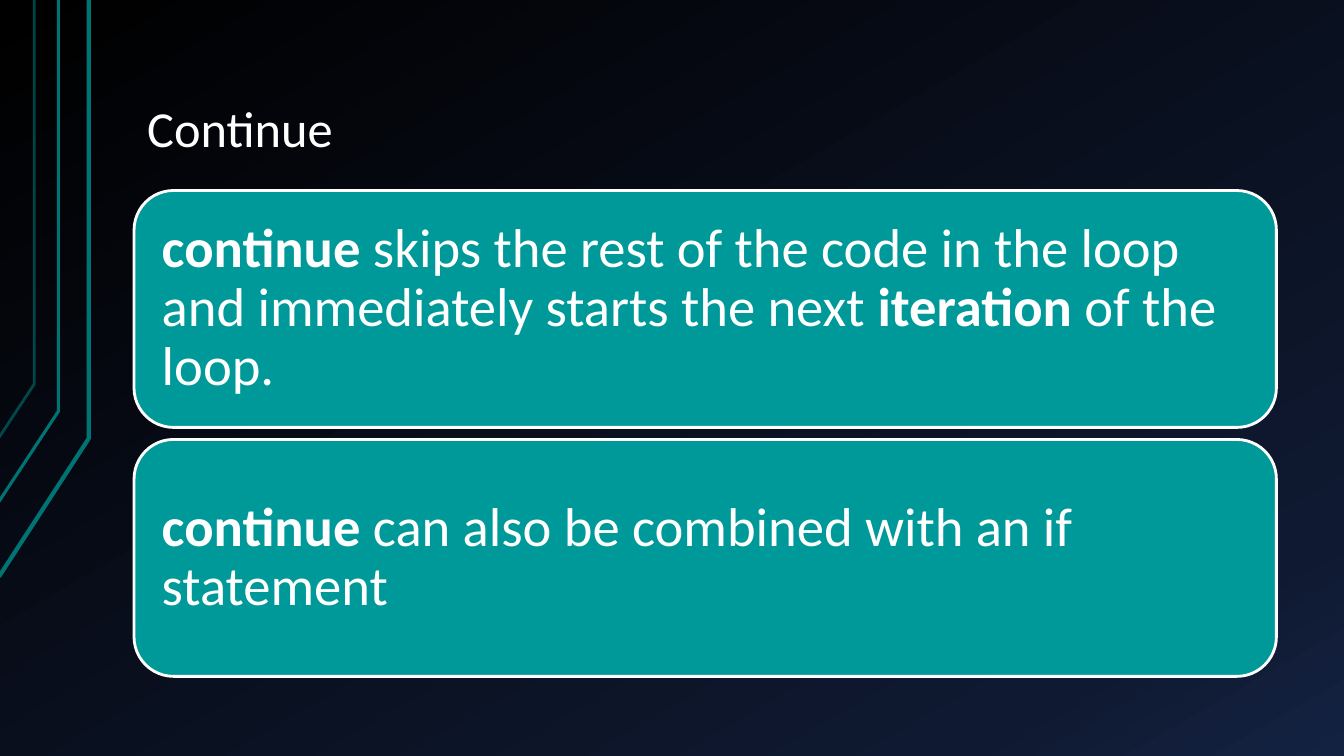
from copy import deepcopy
from dataclasses import dataclass

from pptx import Presentation
from pptx import util as u
from pptx.dml.color import RGBColor
from pptx.enum import shapes, text
from pptx.oxml import ns, xmlchemy
from pptx.slide import Slide
from pptx.text.text import _Paragraph as Paragraph

WHITE = RGBColor(0xFF, 0xFF, 0xFF)
TEAL = RGBColor(0x00, 0x99, 0x99)
DARK_TEAL = RGBColor(0x00, 0x73, 0x73)
BACKGROUND_STOPS = (
    (0, RGBColor(0x00, 0x00, 0x00)),
    (0.85, RGBColor(0x0F, 0x19, 0x31)),
    (1, RGBColor(0x14, 0x22, 0x42)),
)
FONT = "Calibri"
LEFT, WIDTH = 1.33, 11.33
CARD_TOP, CARD_HEIGHT, CARD_PITCH = 1.89, 2.35, 2.47


@dataclass(frozen=True)
class Trace:
    """A line rising from the left edge to a bend, then straight to the top."""
    start: tuple[float, float]
    bend: tuple[float, float]
    weight: float
    opacity: int = 100


@dataclass(frozen=True)
class Phrase:
    words: str
    bold: bool = False


TRACES = (
    Trace((-0.01, 5.72), (0.88, 4.35), 3),
    Trace((-0.02, 4.99), (0.58, 4.08), 2.25),
    Trace((-0.01, 4.34), (0.34, 3.81), 2, opacity=60),
)
CARDS = (
    (
        Phrase("continue", bold=True),
        Phrase(" skips the rest of the code in the loop and immediately starts the next "),
        Phrase("iteration", bold=True),
        Phrase(" of the loop."),
    ),
    (
        Phrase("continue", bold=True),
        Phrase(" can also be combined with an if statement"),
    ),
)


def paint_background(slide: Slide) -> None:
    fill = slide.background.fill
    fill.gradient()
    fill.gradient_angle = 300
    stop_list = slide.element.find(".//" + ns.qn("a:gsLst"))
    stop_list.append(deepcopy(stop_list[-1]))
    for stop, (position, color) in zip(fill.gradient_stops, BACKGROUND_STOPS):
        stop.position = position
        stop.color.rgb = color


def draw_trace(slide: Slide, trace: Trace) -> None:
    start, bend, end = (
        (u.Inches(x), u.Inches(y))
        for x, y in (trace.start, trace.bend, (trace.bend[0], 0))
    )
    builder = slide.shapes.build_freeform(*start)
    builder.add_line_segments([bend, end], close=False)
    outline = builder.convert_to_shape()
    outline.shadow.inherit = False
    outline.fill.background()
    outline.line.color.rgb = DARK_TEAL
    outline.line.width = u.Pt(trace.weight)
    if trace.opacity < 100:
        color = outline.line.fill._xPr.find(".//" + ns.qn("a:srgbClr"))
        alpha = xmlchemy.OxmlElement("a:alpha")
        alpha.set("val", str(trace.opacity * 1000))
        color.append(alpha)


def write_phrases(paragraph: Paragraph, phrases: tuple[Phrase, ...], size: int) -> None:
    paragraph.alignment = text.PP_ALIGN.LEFT
    paragraph.line_spacing = 0.9
    for phrase in phrases:
        run = paragraph.add_run()
        run.text = phrase.words
        run.font.name = FONT
        run.font.size = u.Pt(size)
        run.font.bold = phrase.bold
        run.font.color.rgb = WHITE


def add_title(slide: Slide, title: str) -> None:
    heading = slide.shapes.add_textbox(
        u.Inches(LEFT), u.Inches(0.3), u.Inches(WIDTH), u.Inches(1.34)
    )
    frame = heading.text_frame
    frame.word_wrap = True
    frame.vertical_anchor = text.MSO_ANCHOR.BOTTOM
    frame.margin_left = frame.margin_right = u.Inches(0.13)
    frame.margin_top = frame.margin_bottom = u.Inches(0.07)
    write_phrases(frame.paragraphs[0], (Phrase(title),), 36)


def add_card(slide: Slide, top: float, phrases: tuple[Phrase, ...]) -> None:
    card = slide.shapes.add_shape(
        shapes.MSO_SHAPE.ROUNDED_RECTANGLE,
        u.Inches(LEFT), u.Inches(top), u.Inches(WIDTH), u.Inches(CARD_HEIGHT),
    )
    card.shadow.inherit = False
    card.fill.solid()
    card.fill.fore_color.rgb = TEAL
    card.line.color.rgb = WHITE
    card.line.width = u.Pt(2)
    frame = card.text_frame
    frame.word_wrap = True
    frame.vertical_anchor = text.MSO_ANCHOR.MIDDLE
    frame.margin_left = frame.margin_right = u.Inches(0.16)
    frame.margin_top = frame.margin_bottom = u.Inches(0.16)
    write_phrases(frame.paragraphs[0], phrases, 39)


def main() -> None:
    deck = Presentation()
    deck.slide_width, deck.slide_height = u.Inches(13.33), u.Inches(7.5)
    slide = deck.slides.add_slide(deck.slide_layouts[6])
    paint_background(slide)
    for trace in TRACES:
        draw_trace(slide, trace)
    add_title(slide, "Continue")
    for row, phrases in enumerate(CARDS):
        add_card(slide, CARD_TOP + row * CARD_PITCH, phrases)
    deck.save("out.pptx")


if __name__ == "__main__":
    main()
